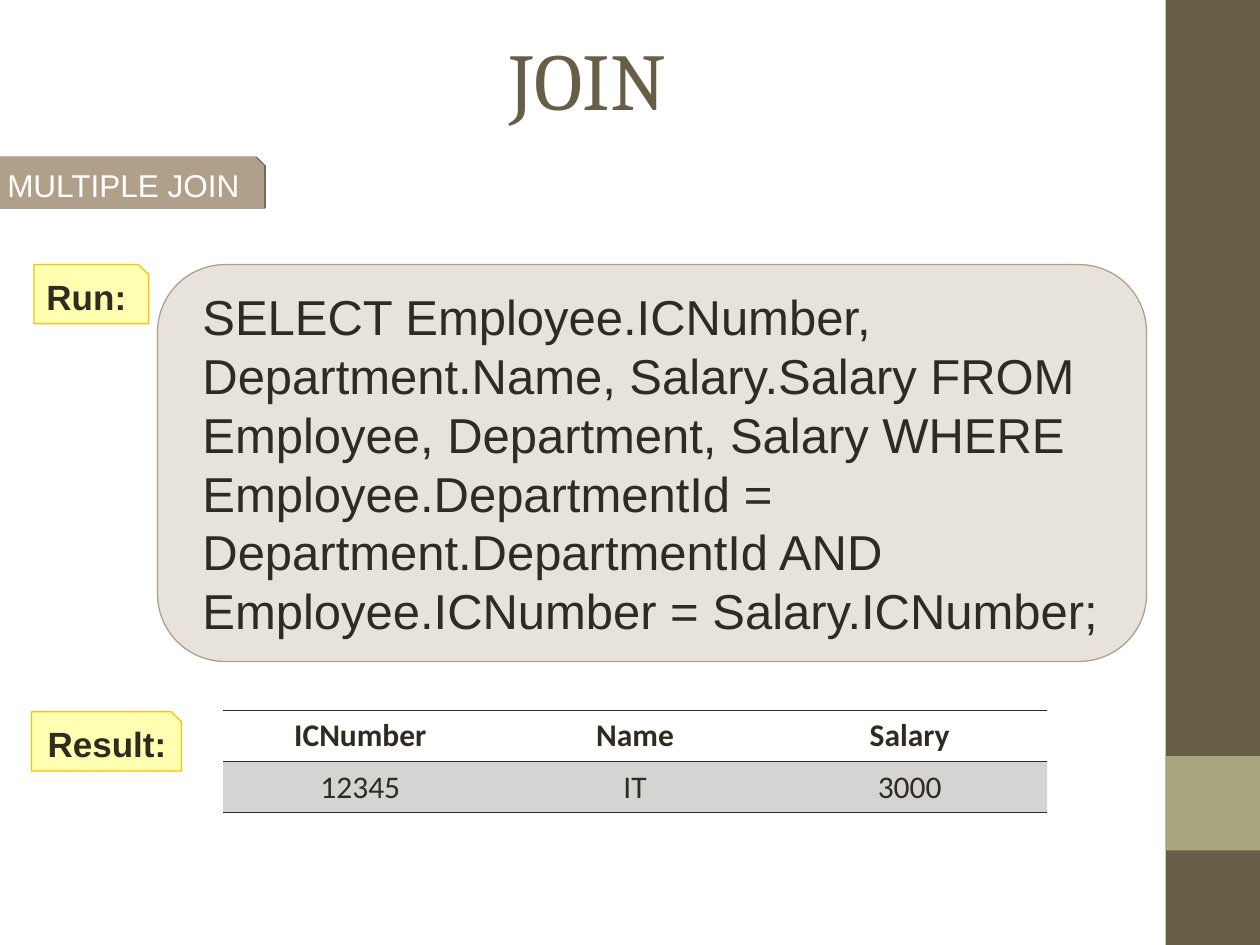
"""Build the slide on a SQL multiple join with its query and result table."""
from lxml import etree
from pptx import Presentation
from pptx.dml.color import RGBColor
from pptx.enum.shapes import MSO_SHAPE
from pptx.enum.text import MSO_ANCHOR, PP_ALIGN
from pptx.oxml import parse_xml
from pptx.oxml.ns import nsdecls, qn
from pptx.util import Inches, Pt

RECTANGLE = MSO_SHAPE.RECTANGLE
ROUNDED = MSO_SHAPE.ROUNDED_RECTANGLE
SNIPPED = MSO_SHAPE.SNIP_1_RECTANGLE
MIDDLE = MSO_ANCHOR.MIDDLE
LEFT, CENTER, JUSTIFY = PP_ALIGN.LEFT, PP_ALIGN.CENTER, PP_ALIGN.JUSTIFY
INK, OLIVE, SAGE, TAN = "2F2B20", "675E47", "A9A57C", "B1A089"
YELLOW, AMBER, WHITE = "FFFF00", "FFC000", "FFFFFF"


def paint(fill, color, opacity=100):
    fill.solid()
    fill.fore_color.rgb = RGBColor.from_string(color)
    if opacity < 100:
        color_element = fill._xPr.find(qn("a:solidFill"))[0]
        etree.SubElement(color_element, qn("a:alpha")).set("val", str(opacity * 1000))


def write_text(frame, text, size=18, font="Arial", color=INK, bold=False, align=LEFT):
    frame.word_wrap = True
    paragraph = frame.paragraphs[0]
    paragraph.alignment = align
    run = paragraph.add_run()
    run.text = text
    run.font.name = font
    run.font.size = Pt(size)
    run.font.bold = bold
    paint(run.font.fill, color)


presentation = Presentation()
presentation.slide_width = Inches(10)
presentation.slide_height = Inches(7.5)
slide = presentation.slides.add_slide(presentation.slide_layouts[5])
paint(slide.background.fill, WHITE)

for top, height, color in [(0, 7.5, OLIVE), (6, 0.75, SAGE)]:
    band = slide.shapes.add_shape(RECTANGLE, Inches(9.25), Inches(top), Inches(0.75), Inches(height))
    band.shadow.inherit = False
    paint(band.fill, color)
    band.line.fill.background()

title = slide.shapes.title
title.left, title.top = Inches(0.5), Inches(0)
title.width, title.height = Inches(8.33), Inches(1.25)
title.text_frame.vertical_anchor = MIDDLE
write_text(title.text_frame, "JOIN", size=46, font="Cambria", color=OLIVE, align=CENTER)

rows = [("ICNumber", "Name", "Salary"), ("12345", "IT", "3000")]
table = slide.shapes.add_table(
    len(rows), len(rows[0]), Inches(1.77), Inches(5.64), Inches(6.54), Inches(0.81)
).table
table.horz_banding = False
for row_index, row in enumerate(rows):
    is_header = row_index == 0
    for column_index, text in enumerate(row):
        cell = table.cell(row_index, column_index)
        write_text(cell.text_frame, text, font="Calibri", bold=is_header, align=CENTER)
        if is_header:
            cell.fill.background()
        else:
            paint(cell.fill, INK, opacity=20)
        properties = cell._tc.get_or_add_tcPr()
        for position, side in enumerate(["lnL", "lnR", "lnT", "lnB"]):
            stroke = "<a:noFill/>"
            if side in ("lnT", "lnB"):
                stroke = f'<a:solidFill><a:srgbClr val="{INK}"/></a:solidFill>'
            border = f'<a:{side} {nsdecls("a")} w="{Pt(0.45)}">{stroke}</a:{side}>'
            properties.insert(position, parse_xml(border))

query = (
    "SELECT Employee.ICNumber, Department.Name, Salary.Salary FROM Employee, Department, "
    "Salary WHERE Employee.DepartmentId = Department.DepartmentId AND "
    "Employee.ICNumber = Salary.ICNumber;"
)
label_format = {"size": 20, "bold": True}
boxes = [
    (SNIPPED, (0.25, 5.65, 1.19, 0.47), YELLOW, 30, AMBER, 0.75, (0.1, 0.05),
     "Result:", {**label_format, "align": CENTER}),
    (SNIPPED, (0.27, 2.1, 0.91, 0.47), YELLOW, 30, AMBER, 0.75, (0.1, 0.05),
     "Run:", label_format),
    (ROUNDED, (1.25, 2.1, 7.85, 3.15), TAN, 30, TAN, 0.75, (0.2, 0.1),
     query, {"size": 28}),
    (SNIPPED, (-0.04, 1.25, 2.13, 0.4), TAN, 100, TAN, 1, (0.1, 0.05),
     "MULTIPLE JOIN", {"color": WHITE, "align": JUSTIFY}),
]
for kind, place, color, opacity, line_color, line_width, insets, text, text_format in boxes:
    box = slide.shapes.add_shape(kind, *[Inches(length) for length in place])
    box.adjustments[0] = 0.17
    box.shadow.inherit = False
    paint(box.fill, color, opacity)
    paint(box.line.fill, line_color)
    box.line.width = Pt(line_width)
    frame = box.text_frame
    frame.vertical_anchor = MIDDLE
    frame.margin_left, frame.margin_right = [Inches(inset) for inset in insets]
    write_text(frame, text, **text_format)

heading_effects = box._element.spPr.find(qn("a:effectLst"))
heading_effects.append(parse_xml(
    f'<a:outerShdw {nsdecls("a")} blurRad="0" dist="{Pt(1)}" dir="0" rotWithShape="0">'
    '<a:srgbClr val="000000"><a:alpha val="60000"/></a:srgbClr></a:outerShdw>'
))

presentation.save("out.pptx")
